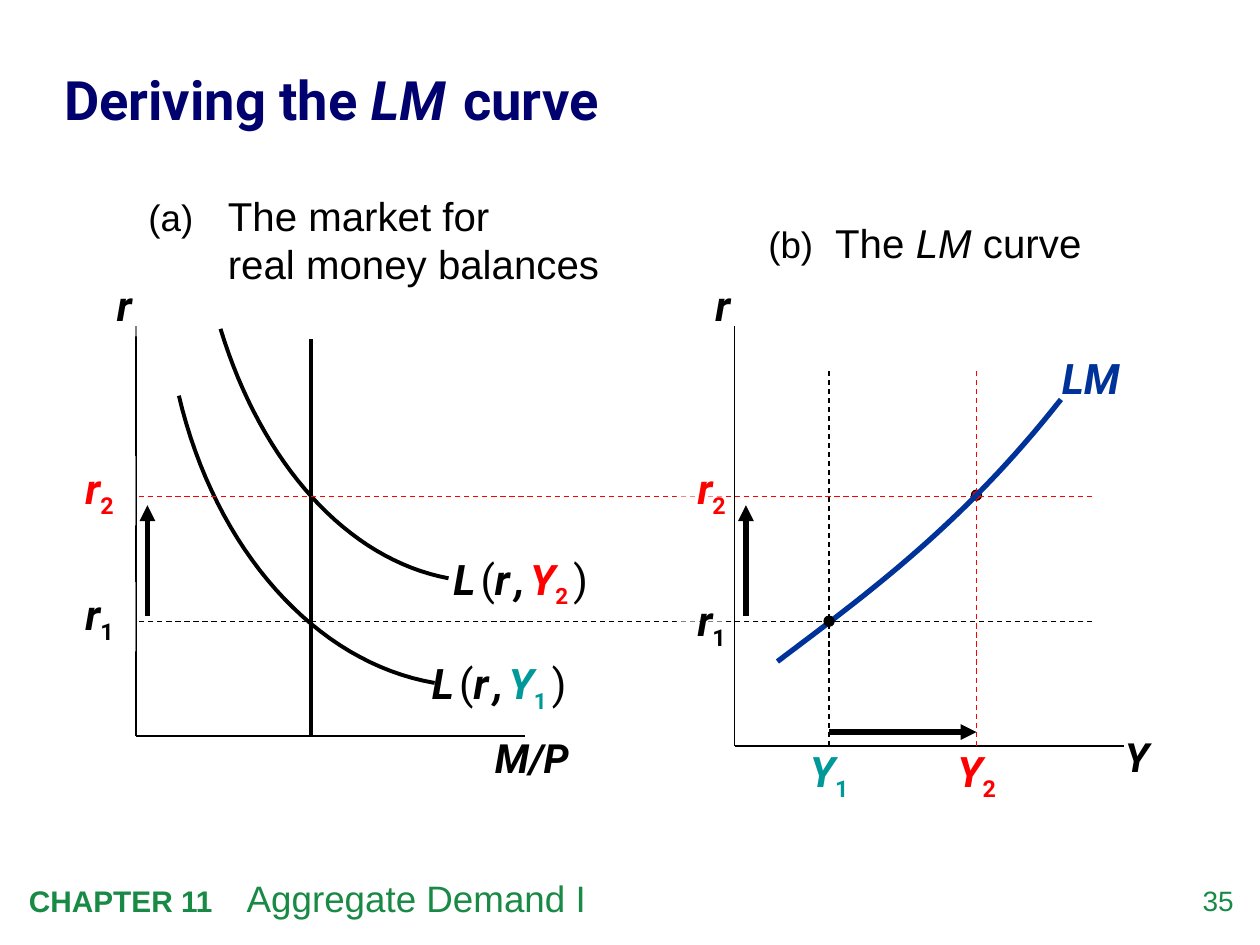
from lxml import etree
from pptx import Presentation
from pptx import util as u
from pptx.dml.color import RGBColor
from pptx.enum import dml, shapes, text
from pptx.oxml.ns import qn

COLORS = {
    "ink": "000000", "paper": "FFFFFF", "navy": "00006E", "green": "198A46",
    "red": "FF0000", "teal": "009999", "blue": "003399",
}
SUBSCRIPT_INSETS = (0.1, 0.05, 0.1, 0.1)
RATE_INSETS = (0.1, 0.05, 0, 0.1)
CURVE_STEPS = 32


def rgb(name):
    return RGBColor.from_string(COLORS[name])


def write(slide, box, runs, size=24, font="Roboto", color="ink", bold=True, italic=True,
          align=text.PP_ALIGN.LEFT, anchor=text.MSO_ANCHOR.TOP,
          insets=(0.1, 0.05, 0.1, 0.05), hanging=0, spacing=None, veil=None):
    label = slide.shapes.add_textbox(*map(u.Inches, box))
    frame = label.text_frame
    frame.word_wrap = True
    frame.vertical_anchor = anchor
    (frame.margin_left, frame.margin_top,
     frame.margin_right, frame.margin_bottom) = map(u.Inches, insets)
    if veil:
        label.fill.solid()
        label.fill.fore_color.rgb = rgb("paper")
        tint = label.fill._xPr.find(qn("a:solidFill"))[0]
        etree.SubElement(tint, qn("a:alpha")).set("val", str(veil * 1000))
    paragraph = frame.paragraphs[0]
    paragraph.alignment = align
    if spacing:
        paragraph.line_spacing = spacing
    if hanging:
        properties = paragraph._p.get_or_add_pPr()
        properties.set("marL", str(u.Inches(hanging)))
        properties.set("indent", str(-u.Inches(hanging)))
    for words, own in runs:
        if words == "\n":
            paragraph.add_line_break()
            continue
        run = paragraph.add_run()
        run.text = words
        run.font.name = own.get("font", font)
        run.font.size = u.Pt(own.get("size", size))
        run.font.bold = own.get("bold", bold)
        run.font.italic = own.get("italic", italic)
        run.font.color.rgb = rgb(own.get("color", color))
        if "baseline" in own:
            run.font._element.set("baseline", str(own["baseline"] * 1000))


def indexed(letter, index, color, index_size=23):
    return [(letter, {"color": color}),
            (index, {"color": color, "size": index_size, "italic": False, "baseline": -25})]


def draw_line(slide, start, end, color="ink", width=1, dashed=False, arrow=False):
    line = slide.shapes.add_connector(
        shapes.MSO_CONNECTOR.STRAIGHT, *map(u.Inches, (*start, *end)))
    line.line.color.rgb = rgb(color)
    line.line.width = u.Pt(width)
    if dashed:
        line.line.dash_style = dml.MSO_LINE.DASH
    if arrow:
        etree.SubElement(line.line._get_or_add_ln(), qn("a:tailEnd")).set("type", "triangle")
    etree.SubElement(line._element.spPr, qn("a:effectLst"))


def draw_curve(slide, controls, color="ink", width=2.25):
    points = []
    for step in range(CURVE_STEPS + 1):
        t = step / CURVE_STEPS
        weights = ((1 - t) ** 3, 3 * t * (1 - t) ** 2, 3 * t ** 2 * (1 - t), t ** 3)
        points.append(tuple(
            u.Inches(sum(w * p[axis] for w, p in zip(weights, controls))) for axis in (0, 1)))
    builder = slide.shapes.build_freeform(*points[0])
    builder.add_line_segments(points[1:], close=False)
    curve = builder.convert_to_shape()
    curve.shadow.inherit = False
    curve.fill.background()
    curve.line.color.rgb = rgb(color)
    curve.line.width = u.Pt(width)


def draw_point(slide, center, color):
    size = 0.08
    left, top = (c - size / 2 for c in center)
    point = slide.shapes.add_shape(
        shapes.MSO_SHAPE.OVAL, *map(u.Inches, (left, top, size, size)))
    point.shadow.inherit = False
    point.fill.solid()
    point.fill.fore_color.rgb = rgb(color)
    point.line.color.rgb = rgb("ink")
    point.line.width = u.Pt(0.75)


def draw_axes(slide, left, bottom, quantity, quantity_box, veil=None):
    top, length = 2.59, 3.09
    draw_line(slide, (left, top), (left, bottom))
    draw_line(slide, (left, bottom), (left + length, bottom))
    write(slide, quantity_box, [(quantity, {})], size=23)
    write(slide, (left - 0.25, 2.17, 0.5, 0.5), [("r", {})], veil=veil)


def draw_demand(slide, controls, label_corner, index, color):
    thin = (" ", {"size": 12})
    upright = {"bold": False, "italic": False}
    draw_curve(slide, controls)
    write(slide, (*label_corner, 1.5, 0.5),
          [("L", {}), thin, ("(", upright), ("r", {}), thin, (",", {}), thin,
           *indexed("Y", index, color, index_size=22), thin, (")", upright)])


def draw_rate(slide, index, height, color, label_tops):
    draw_line(slide, (8.67, height), (1.08, height), color, 0.75, dashed=True)
    rate = indexed("r", index, color)
    market_top, lm_top = label_tops
    write(slide, (0.58, market_top, 0.5, 0.55), rate, insets=RATE_INSETS, veil=50)
    write(slide, (5.37, lm_top, 0.39, 0.55), rate, insets=RATE_INSETS, veil=51,
          align=text.PP_ALIGN.RIGHT)


def draw_income(slide, index, x, line_color, label_color):
    draw_line(slide, (x, 5.92), (x, 2.92), line_color, 0.75, dashed=True)
    write(slide, (x - 0.25, 5.87, 0.58, 0.55), indexed("Y", index, label_color),
          insets=SUBSCRIPT_INSETS)


def draw_frame(slide):
    plain = {"bold": False, "italic": False}
    write(slide, (9.24, 7.01, 0.55, 0.32), [("35", {})], size=16, font="Arial",
          color="green", insets=(0, 0, 0, 0), align=text.PP_ALIGN.RIGHT, **plain)
    write(slide, (0.13, 6.9, 8.18, 0.45),
          [("CHAPTER 11", {"size": 17, "bold": True}), ("\tAggregate Demand I", {})],
          size=21, font="Arial", color="green", hanging=1.73, **plain)
    write(slide, (0.51, 0.26, 9.02, 1.03),
          [("Deriving the ", {}), ("LM", {"italic": True}), (" ", {"size": 10}),
           (" curve", {})],
          size=31, color="navy", italic=False, insets=(0, 0, 0, 0), spacing=1.05,
          anchor=text.MSO_ANCHOR.MIDDLE)
    write(slide, (1.08, 1.47, 3.92, 0.87),
          [("(a)", {"size": 21}), ("\tThe market for", {}), ("\n", {}),
           ("real money balances", {})],
          size=23, font="Arial", hanging=0.63, **plain)
    write(slide, (6, 1.68, 3, 0.48),
          [("(b)", {"size": 21}), ("\tThe ", {}), ("LM", {"italic": True}), (" curve", {})],
          size=23, font="Arial", hanging=0.53, **plain)


def main():
    deck = Presentation()
    deck.slide_width, deck.slide_height = u.Inches(10), u.Inches(7.5)
    slide = deck.slides.add_slide(deck.slide_layouts[6])
    income_1, income_2 = 6.58, 7.75
    rate_1, rate_2 = 4.93, 3.94

    draw_frame(slide)
    draw_point(slide, (income_2, rate_2 - 0.01), "red")

    draw_axes(slide, 1.08, 5.84, "M/P", (3.83, 5.77, 1, 0.48), veil=50)
    draw_line(slide, (2.47, 5.83), (2.47, 2.69), width=2.25)
    draw_demand(slide, [(3.45, 5.42), (2.51, 5.26), (1.71, 4.37), (1.42, 3.14)],
                (3.33, 5.17), "1", "teal")
    draw_demand(slide, [(3.56, 4.59), (2.76, 4.44), (2.08, 3.69), (1.75, 2.61)],
                (3.5, 4.34), "2", "red")

    draw_axes(slide, 5.83, 5.92, "Y", (8.83, 5.76, 0.5, 0.48))
    draw_rate(slide, "1", rate_1, "ink", (4.62, 4.67))
    draw_rate(slide, "2", rate_2, "red", (3.62, 3.62))
    draw_income(slide, "1", income_1, "ink", "teal")
    draw_income(slide, "2", income_2, "red", "red")

    for x in (1.17, 5.92):
        draw_line(slide, (x, 4.89), (x, 4.01), width=3, arrow=True)
    draw_curve(slide, [(6.17, 5.25), (6.9, 4.7), (7.64, 4.16), (8.42, 3.17)], "blue", 3)
    write(slide, (8.33, 2.75, 0.83, 0.5), [("LM", {})], color="blue")
    draw_point(slide, (income_1, rate_1), "ink")
    draw_line(slide, (income_1, 5.81), (income_2, 5.81), width=3, arrow=True)

    deck.save("out.pptx")


if __name__ == "__main__":
    main()
